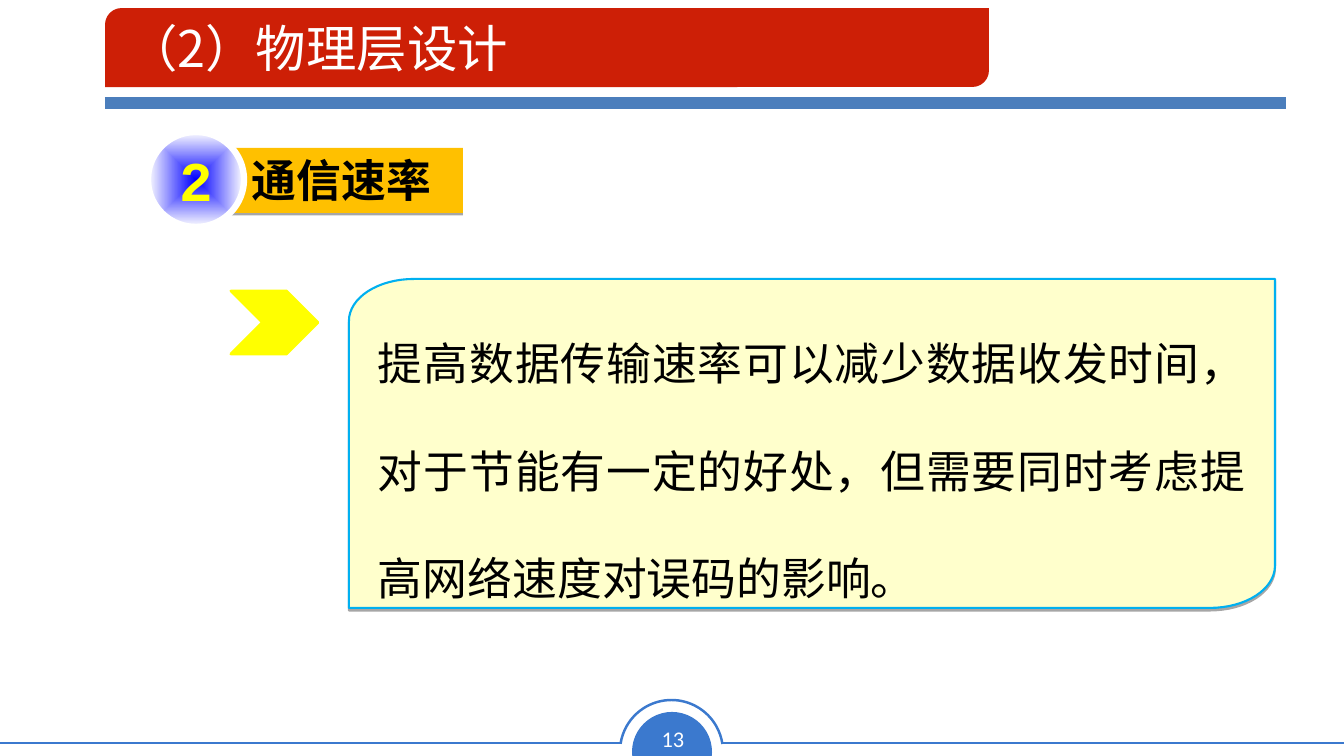
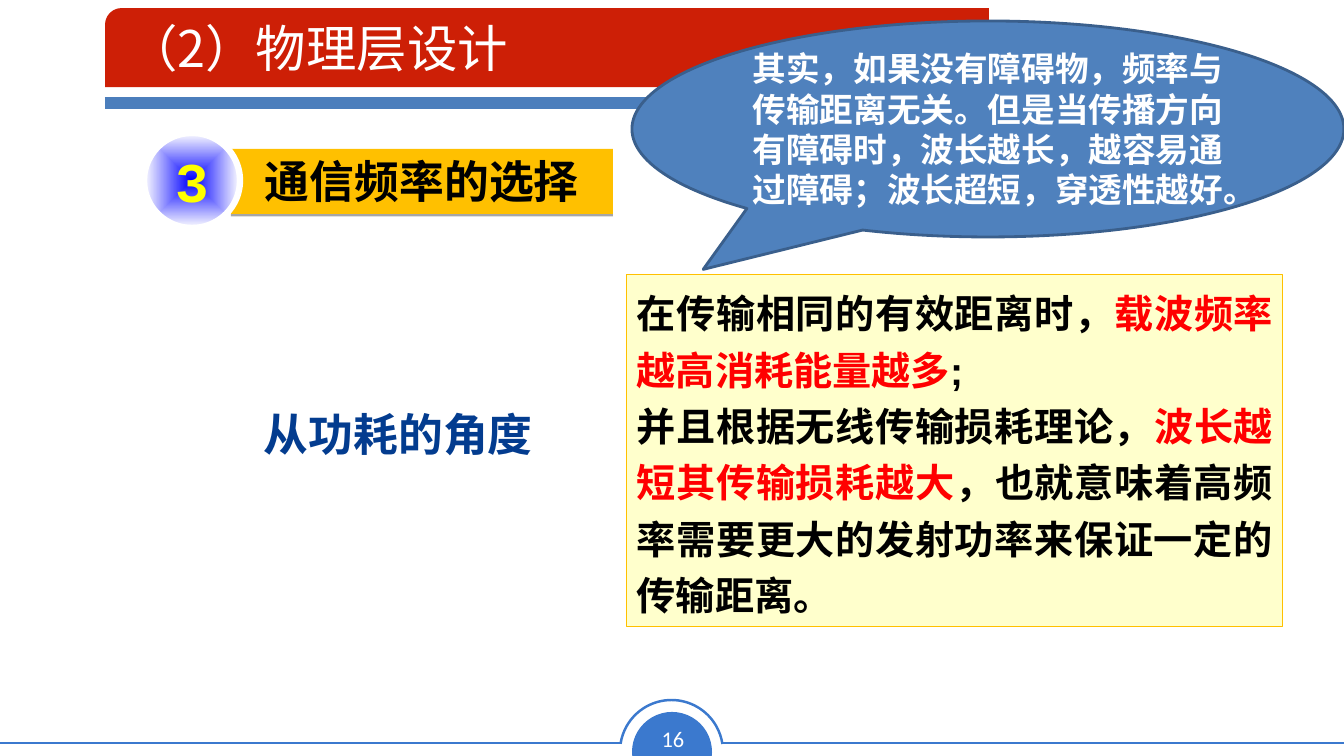
from math import cos, pi, sin

from lxml.etree import SubElement
from pptx import Presentation
from pptx.dml.color import RGBColor
from pptx.enum.shapes import MSO_CONNECTOR, MSO_SHAPE
from pptx.enum.text import MSO_ANCHOR, PP_ALIGN
from pptx.oxml.ns import qn
from pptx.util import Emu, Pt

# Style
PX = 914400 / 100.8
WHITE = RGBColor(0xFF, 0xFF, 0xFF)
BLACK = RGBColor(0x00, 0x00, 0x00)
RED = RGBColor(0xFF, 0x00, 0x00)
YELLOW = RGBColor(0xFF, 0xFF, 0x00)
BLUE = RGBColor(0x00, 0x00, 0xFF)
BAND_RED = RGBColor(0xCD, 0x1F, 0x06)
RULE_BLUE = RGBColor(0x4B, 0x7E, 0xBC)
FOOTER_BLUE = RGBColor(0x3B, 0x79, 0xCE)
NAVY = RGBColor(0x03, 0x3C, 0x8F)
AMBER = RGBColor(0xFF, 0xC0, 0x00)
CREAM = RGBColor(0xFF, 0xFF, 0xCC)
SKY = RGBColor(0x00, 0xB0, 0xF0)
CALLOUT_FILL = RGBColor(0x4F, 0x81, 0xBD)
CALLOUT_LINE = RGBColor(0x3A, 0x5F, 0x8C)
SANS, CALIBRI, ARIAL, MONO = "Noto Sans CJK SC", "Calibri", "Arial", "Courier New"


def px(n):
    return Emu(round(n * PX))


class Deck:
    """Holds the presentation, the shared style and the current slide."""

    def __init__(self):
        self.prs = Presentation()
        self.prs.slide_width, self.prs.slide_height = px(1344), px(756)

    def new_slide(self, title, number):
        self.s = self.prs.slides.add_slide(self.prs.slide_layouts[5])
        # Footer
        self.shape(MSO_SHAPE.CHORD, (632, 712, 80, 80), FOOTER_BLUE,
                   adj=(35.77, 153.29)).rotation = 112.4
        for x1, x2 in ((723, 1344), (0, 621)):
            self.rule(x1, x2, 743, FOOTER_BLUE, 1.77)
        self.shape(MSO_SHAPE.ARC, (620, 700, 103, 103), line=FOOTER_BLUE,
                   width=1.77, adj=(113.17, 210.98))
        self.text_box((650, 720, 46, 37), str(number), 16, CALIBRI, WHITE,
                      align=PP_ALIGN.CENTER)
        # Title band
        self.rule(105, 1286, 103, RULE_BLUE, 8)
        self.shape(MSO_SHAPE.ROUND_2_DIAG_RECTANGLE, (105, 8, 884, 79),
                   BAND_RED, adj=(0.21, 0))
        sp = self.s.shapes.title
        sp.left, sp.top, sp.width, sp.height = map(px, (117, 10, 1166, 75))
        self.s.shapes._spTree.append(sp._element)
        self.set_text(sp, [title], 36, SANS, WHITE, align=PP_ALIGN.LEFT,
                      anchor=MSO_ANCHOR.MIDDLE)

    def paint(self, sp, fill=None, line=None, width=1.0, shadow=False):
        sp.shadow.inherit = False
        if fill is None:
            sp.fill.background()
        else:
            sp.fill.solid()
            sp.fill.fore_color.rgb = fill
        if line is None:
            sp.line.fill.background()
        else:
            sp.line.color.rgb = line
            sp.line.width = Pt(width)
        if shadow:
            effects = sp._element.spPr.find(qn("a:effectLst"))
            outer = SubElement(effects, qn("a:outerShdw"), blurRad="0",
                               dist="23000", dir="5400000", rotWithShape="0")
            color = SubElement(outer, qn("a:srgbClr"), val=str(BLACK))
            SubElement(color, qn("a:alpha"), val="35000")
        return sp

    def shape(self, kind, box, fill=None, line=None, width=1.0, adj=(), shadow=False):
        sp = self.s.shapes.add_shape(kind, *map(px, box))
        for i, value in enumerate(adj):
            sp.adjustments[i] = value
        return self.paint(sp, fill, line, width, shadow)

    def rule(self, x1, x2, y, color, width):
        line = self.s.shapes.add_connector(MSO_CONNECTOR.STRAIGHT, px(x1), px(y), px(x2), px(y))
        line.line.color.rgb = color
        line.line.width = Pt(width)
        SubElement(line._element.spPr, qn("a:effectLst"))

    def set_text(self, sp, paragraphs, size, font, color, bold=False, align=PP_ALIGN.CENTER,
                 anchor=MSO_ANCHOR.TOP, wrap=True, spacing=None):
        """Each paragraph is a string or a list of (text, colour) runs."""
        tf = sp.text_frame
        tf.word_wrap = wrap
        tf.vertical_anchor = anchor
        for i, content in enumerate(paragraphs):
            p = tf.add_paragraph() if i else tf.paragraphs[0]
            p.alignment = align
            if spacing:
                p.line_spacing = spacing
            p.font.size, p.font.name, p.font.bold = Pt(size), font, bold
            if isinstance(content, str):
                p.font.color.rgb = color
                p.add_run().text = content
            else:
                for text, run_color in content:
                    r = p.add_run()
                    r.text = text
                    r.font.color.rgb = run_color

    def text_box(self, box, text, size, font, color, bold=False, align=PP_ALIGN.LEFT):
        sp = self.s.shapes.add_textbox(*map(px, box))
        self.set_text(sp, [text], size, font, color, bold, align, wrap=False)

    def section(self, number, label, x, y, tag_x, tag_width):
        """A numbered ball in front of an amber label."""
        tag = self.shape(MSO_SHAPE.RECTANGLE, (tag_x, y + 16, tag_width, 65), AMBER, shadow=True)
        self.set_text(tag, [label], 32, ARIAL, BLACK, True)
        ball = self.shape(MSO_SHAPE.OVAL, (x, y, 96, 95), BLUE, WHITE, 4.5)
        ball.fill.gradient()
        for stop, color in zip(ball.fill.gradient_stops, (BLUE, WHITE)):
            stop.color.rgb = color
        grad = ball._element.spPr.find(qn("a:gradFill"))
        grad.remove(grad.find(qn("a:lin")))
        radial = SubElement(grad, qn("a:path"))
        radial.set("path", "shape")
        SubElement(radial, qn("a:fillToRect"), l="50000", t="50000", r="50000", b="50000")
        self.set_text(ball, [str(number)], 40, MONO, YELLOW, True,
                      anchor=MSO_ANCHOR.MIDDLE, wrap=False)

    def leaf_panel(self, box, rx, ry, text):
        """A panel with elliptical top-left and bottom-right corners."""
        x, y, w, h = box
        steps = 16

        def corner(cx, cy, start):
            angles = (start + pi / 2 * i / steps for i in range(steps + 1))
            return [(px(cx + rx * cos(a)), px(cy + ry * sin(a))) for a in angles]

        points = corner(x + rx, y + ry, pi) + [(px(x + w), px(y))]
        points += corner(x + w - rx, y + h - ry, 0) + [(px(x), px(y + h))]
        outline = self.s.shapes.build_freeform(*points[0])
        outline.add_line_segments(points[1:], close=True)
        sp = self.paint(outline.convert_to_shape(), CREAM, SKY, 1.5, shadow=True)
        sp.text_frame.margin_left = sp.text_frame.margin_right = px(29)
        self.set_text(sp, [text], 32, SANS, BLACK, align=PP_ALIGN.JUSTIFY,
                      anchor=MSO_ANCHOR.MIDDLE, spacing=2.0)


def main():
    deck = Deck()
    title = "（2）物理层设计"

    # Data rate
    deck.new_slide(title, 13)
    deck.leaf_panel((349, 279, 926, 329), 65, 42,
                    "提高数据传输速率可以减少数据收发时间，对于节能有一定的好处，"
                    "但需要同时考虑提高网络速度对误码的影响。")
    deck.section(2, "通信速率", 148, 132, 220, 243)
    deck.shape(MSO_SHAPE.CHEVRON, (231, 291, 87, 63), YELLOW, YELLOW, 2)

    # Choice of frequency
    deck.new_slide(title, 16)
    deck.text_box((254, 402, 289, 65), "从功耗的角度", 32, ARIAL, NAVY, True)
    panel = deck.shape(MSO_SHAPE.RECTANGLE, (627, 275, 656, 352), CREAM, AMBER, 0.75)
    deck.set_text(panel, [
        [("在传输相同的有效距离时，", BLACK), ("载波频率越高消耗能量越多", RED), (";", BLACK)],
        [("并且根据无线传输损耗理论，", BLACK), ("波长越短其传输损耗越大", RED),
         ("，也就意味着高频率需要更大的发射功率来保证一定的传输距离。", BLACK)],
    ], 28, ARIAL, BLACK, True, PP_ALIGN.JUSTIFY, spacing=1.2)
    deck.section(3, "通信频率的选择", 144, 133, 231, 382)
    callout = deck.shape(MSO_SHAPE.OVAL_CALLOUT, (632, 21, 712, 216),
                         CALLOUT_FILL, CALLOUT_LINE, 2, adj=(-0.4, 0.65))
    deck.set_text(callout, ["其实，如果没有障碍物，频率与传输距离无关。但是当传播方向有障碍时，"
                            "波长越长，越容易通过障碍；波长超短，穿透性越好。"],
                  24, CALIBRI, WHITE, True, anchor=MSO_ANCHOR.MIDDLE)

    deck.prs.save("out.pptx")


if __name__ == "__main__":
    main()
